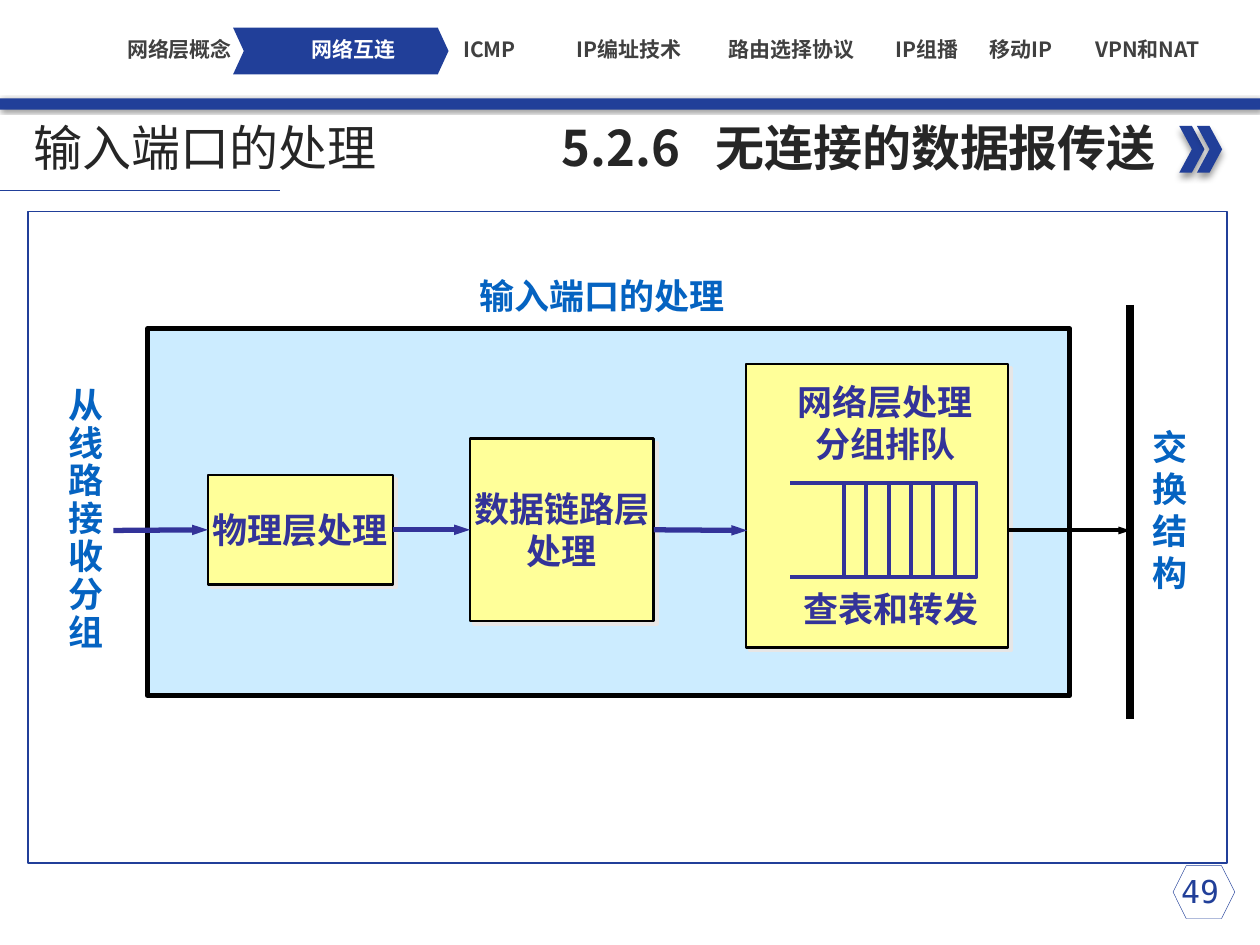
from lxml import etree
from pptx import Presentation, util as u
from pptx.dml.color import RGBColor
from pptx.enum import shapes, text
from pptx.oxml.ns import qn

COLORS = {"navy": "213F99", "dark": "262626", "gray": "404040", "white": "FFFFFF", "black": "000000",
          "panel": "CCECFF", "yellow": "FFFF99", "indigo": "333399", "blue": "0563C1", "pale": "E7E6E6"}
SANS, MONO, LABEL = "Noto Sans CJK SC", "DejaVu Sans Mono", "Arial"
SHAPE = shapes.MSO_SHAPE
ALIGN, ANCHOR = text.PP_ALIGN, text.MSO_ANCHOR

NAVIGATION = [("网络层概念", 0.7), ("网络互连", 2.08), ("ICMP", 3.16), ("IP编址技术", 4.27),
              ("路由选择协议", 5.56), ("IP组播", 6.63), ("移动IP", 7.38), ("VPN和NAT", 8.38)]
ACTIVE = "网络互连"
STAGES = [("物理层处理", (1.65, 3.77, 1.47, 0.87)),
          ("数据链路层\n处理", (3.73, 3.48, 1.46, 1.45)),
          ("", (5.92, 2.89, 2.08, 2.25))]
LABELS = [("网络层处理\n分组排队", (6.22, 2.97, 1.61, 0.77), "indigo", 1),
          ("查表和转发", (6.27, 4.61, 1.61, 0.44), "indigo", 1),
          ("输入端口的处理", (3.53, 2.13, 2.5, 0.43), "blue", 1),
          ("\n".join("交换结构"), (9.05, 3.33, 0.48, 1.45), "blue", 1),
          ("\n".join("从线路接收分组"), (0.44, 3.03, 0.48, 2.22), "blue", 0.9)]
FLOW_Y = 4.21
FABRIC_X = 8.97
QUEUE_LEFT, QUEUE_TOP, QUEUE_RIGHT, QUEUE_BOTTOM = 6.27, 3.83, 7.75, 4.58
QUEUE_SLOTS, SLOT_FIRST, SLOT_STEP = 6, 6.7, 0.176
BAR_SHADOW = ("black", 40, 2, 1, 45)
CHEVRON_SHADOW = ("black", 40, 4, 3, 90)
STAGE_SHADOW = ("pale", 100, 0, 2.8, 45)

presentation = Presentation()
presentation.slide_width, presentation.slide_height = u.Inches(10), u.Inches(7.5)
slide = presentation.slides.add_slide(presentation.slide_layouts[6])


def color(name):
    return RGBColor.from_string(COLORS[name])


def inches(values):
    return [u.Inches(value) for value in values]


def add_shadow(shape, name, alpha, blur, distance, angle):
    effects = shape._element.spPr.find(qn("a:effectLst"))
    outer = etree.SubElement(effects, qn("a:outerShdw"), blurRad=str(u.Pt(blur)), dist=str(u.Pt(distance)),
                             dir=str(angle * 60000), algn="ctr", rotWithShape="0")
    tint = etree.SubElement(outer, qn("a:srgbClr"), val=COLORS[name])
    etree.SubElement(tint, qn("a:alpha"), val=str(alpha * 1000))


def style(shape, fill=None, line=None, width=1, shadow=None):
    shape.shadow.inherit = False
    if fill:
        shape.fill.solid()
        shape.fill.fore_color.rgb = color(fill)
    else:
        shape.fill.background()
    if line:
        shape.line.color.rgb = color(line)
        shape.line.width = u.Pt(width)
    else:
        shape.line.fill.background()
    if shadow:
        add_shadow(shape, *shadow)
    return shape


def add_box(kind, place, **look):
    return style(slide.shapes.add_shape(kind, *inches(place)), **look)


def write(shape, content, size=20, font=LABEL, ink="indigo", bold=False, align=ALIGN.CENTER,
          anchor=ANCHOR.TOP, wrap=True, inset=None, spacing=None, tab=None):
    frame = shape.text_frame
    frame.word_wrap = wrap
    frame.vertical_anchor = anchor
    if inset is not None:
        frame.margin_left = frame.margin_top = frame.margin_right = frame.margin_bottom = u.Inches(inset)
    frame.text = content
    for paragraph in frame.paragraphs:
        paragraph.alignment = align
        if spacing:
            paragraph.line_spacing = spacing
        if tab:
            stops = etree.SubElement(paragraph._p.get_or_add_pPr(), qn("a:tabLst"))
            etree.SubElement(stops, qn("a:tab"), pos=str(u.Inches(tab)), algn="l")
        for run in paragraph.runs:
            run.font.size, run.font.bold, run.font.name = u.Pt(size), bold, font
            run.font.color.rgb = color(ink)
            etree.SubElement(run._r.get_or_add_rPr(), qn("a:ea"), typeface=SANS)


def add_text(content, place, **form):
    write(slide.shapes.add_textbox(*inches(place)), content, **form)


def add_line(start, end, ink, width, arrow=False, source=None, target=None):
    line = slide.shapes.add_connector(shapes.MSO_CONNECTOR.STRAIGHT, *inches(start + end))
    if source is not None:
        line.begin_connect(source, 3)
    if target is not None:
        line.end_connect(target, 1)
    line.line.color.rgb = color(ink)
    line.line.width = u.Pt(width)
    if arrow:
        etree.SubElement(line.line._get_or_add_ln(), qn("a:tailEnd"), type="triangle", w="sm", len="med")
    etree.SubElement(line._element.spPr, qn("a:effectLst"))


def build_header():
    add_box(SHAPE.RECTANGLE, (0, 0.78, 10, 0.09), fill="navy", shadow=BAR_SHADOW)
    for left in (9.36, 9.5):
        add_box(SHAPE.CHEVRON, (left, 1, 0.2, 0.37), fill="navy", shadow=CHEVRON_SHADOW)
    add_text("5.2.6\t无连接的数据报传送", (4.36, 0.88, 5, 0.57), size=28, font=SANS, ink="dark",
             bold=True, align=ALIGN.LEFT, tab=1.22)
    add_line((0, 1.51), (2.22, 1.51), "navy", 0.5)
    add_text("输入端口的处理", (0.17, 0.92, 3.93, 0.49), size=28, font=SANS, ink="dark",
             align=ALIGN.LEFT, anchor=ANCHOR.MIDDLE)
    marker = add_box(SHAPE.CHEVRON, (1.85, 0.22, 1.71, 0.37), fill="navy")
    marker.adjustments[0] = 0.23
    for name, left in NAVIGATION:
        add_text(name, (left, 0.29, 1.45, 0.2), size=12, font=SANS, bold=True, inset=0,
                 ink="white" if name == ACTIVE else "gray", anchor=ANCHOR.MIDDLE)


def build_page_number():
    add_box(SHAPE.HEXAGON, (9.31, 6.87, 0.49, 0.42), line="navy", width=0.25)
    add_text("49", (9.09, 6.87, 0.87, 0.4), size=18, font=MONO, ink="navy")


def build_queue():
    builder = slide.shapes.build_freeform(u.Inches(QUEUE_LEFT), u.Inches(QUEUE_TOP))
    corners = [(QUEUE_RIGHT, QUEUE_TOP), (QUEUE_RIGHT, QUEUE_BOTTOM), (QUEUE_LEFT, QUEUE_BOTTOM)]
    builder.add_line_segments([inches(corner) for corner in corners], close=False)
    style(builder.convert_to_shape(), fill="yellow", line="indigo", width=2.25)
    for slot in range(QUEUE_SLOTS):
        x = SLOT_FIRST + slot * SLOT_STEP
        add_line((x, QUEUE_TOP), (x, QUEUE_BOTTOM), "indigo", 2.25)


def build_diagram():
    add_box(SHAPE.RECTANGLE, (0.22, 1.68, 9.52, 5.17), line="navy")
    add_box(SHAPE.RECTANGLE, (1.17, 2.61, 7.32, 2.91), fill="panel", line="black", width=3)
    stages = []
    for content, place in STAGES:
        stage = add_box(SHAPE.RECTANGLE, place, fill="yellow", line="black", width=1.5, shadow=STAGE_SHADOW)
        if content:
            write(stage, content, bold=True, anchor=ANCHOR.MIDDLE, wrap=False)
        stages.append(stage)
    physical, link, network = stages
    add_line((0.9, FLOW_Y), (1.65, FLOW_Y), "indigo", 3, arrow=True, target=physical)
    add_line((3.12, FLOW_Y), (3.73, FLOW_Y), "indigo", 3, arrow=True, source=physical, target=link)
    add_line((5.19, FLOW_Y), (5.93, FLOW_Y), "indigo", 3, arrow=True, source=link)
    add_line((8, FLOW_Y), (FABRIC_X, FLOW_Y), "black", 2.25, arrow=True)
    add_line((FABRIC_X, 2.42), (FABRIC_X, 5.71), "black", 4.5)
    build_queue()
    for content, place, ink, spacing in LABELS:
        add_text(content, place, ink=ink, bold=True, wrap=False, spacing=spacing)


build_header()
build_diagram()
build_page_number()
presentation.save("out.pptx")
